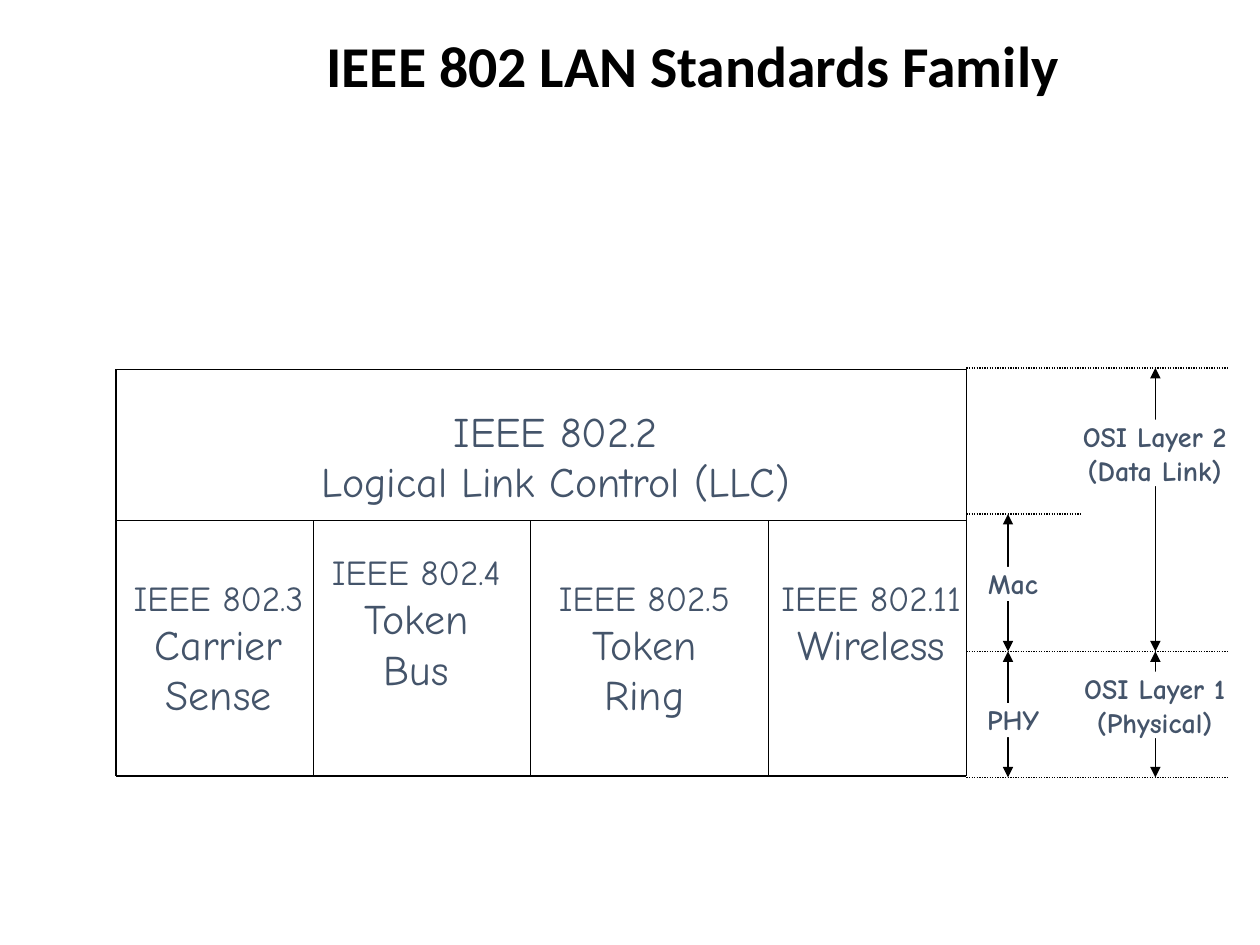
"""Build the IEEE 802 LAN standards family slide."""
import pptx
import pptx.dml.color
import pptx.enum.dml
import pptx.enum.shapes
import pptx.enum.text
import pptx.oxml
import pptx.util
from pptx.util import Inches

COLORS = {"ink": "000000", "paper": "FFFFFF", "text": "44546A"}
RGB = {name: pptx.dml.color.RGBColor.from_string(value) for name, value in COLORS.items()}
CENTER = pptx.enum.text.PP_ALIGN.CENTER
ANCHOR = pptx.enum.text.MSO_ANCHOR


def add_line(slide, x1, y1, x2, y2, dotted=False, arrows=False):
    line = slide.shapes.add_connector(
        pptx.enum.shapes.MSO_CONNECTOR.STRAIGHT, Inches(x1), Inches(y1), Inches(x2), Inches(y2)
    )
    line.line.color.rgb = RGB["ink"]
    line.line.width = pptx.util.Pt(0.75)
    if dotted:
        line.line.dash_style = pptx.enum.dml.MSO_LINE.ROUND_DOT
    if arrows:
        for end in ("a:headEnd", "a:tailEnd"):
            element = pptx.oxml.xmlchemy.OxmlElement(end)
            element.set("type", "triangle")
            line.line._get_or_add_ln().append(element)
    line._element.spPr.append(pptx.oxml.xmlchemy.OxmlElement("a:effectLst"))


def add_label(slide, left, top, width, height, lines, sizes, bold=False, margins=(0, 0, 0, 0)):
    shape = slide.shapes.add_shape(
        pptx.enum.shapes.MSO_SHAPE.RECTANGLE, Inches(left), Inches(top), Inches(width), Inches(height)
    )
    shape.shadow.inherit = False
    shape.fill.solid()
    shape.fill.fore_color.rgb = RGB["paper"]
    shape.line.fill.background()
    frame = shape.text_frame
    frame.word_wrap = bold
    frame.vertical_anchor = ANCHOR.TOP if bold else ANCHOR.MIDDLE
    frame.margin_left, frame.margin_top, frame.margin_right, frame.margin_bottom = map(Inches, margins)
    frame.text = "\n".join(lines)
    for paragraph, size in zip(frame.paragraphs, sizes):
        paragraph.alignment = CENTER
        paragraph.font.name = "Comic Neue"
        paragraph.font.size = pptx.util.Pt(size)
        paragraph.font.bold = bold
        paragraph.font.color.rgb = RGB["text"]


presentation = pptx.Presentation()
presentation.slide_width = Inches(10)
presentation.slide_height = Inches(7.5)
slide = presentation.slides.add_slide(presentation.slide_layouts[5])

title = slide.shapes.title
title.left, title.top, title.width, title.height = map(Inches, (1, 0.25, 9, 1.58))
title.text_frame.text = "IEEE 802 LAN Standards Family"
title.text_frame.vertical_anchor = ANCHOR.TOP
paragraph = title.text_frame.paragraphs[0]
paragraph.alignment = CENTER
paragraph.line_spacing = 0.9
paragraph.font.name = "Calibri"
paragraph.font.size = pptx.util.Pt(33)
paragraph.font.bold = True
paragraph.font.color.rgb = RGB["ink"]

left, right = 0.92, 7.67
top, middle, bottom = 2.93, 4.13, 6.16
for y in (top, middle, bottom):
    add_line(slide, left, y, right, y)
for x in (left, right):
    add_line(slide, x, top, x, bottom)
for x in (2.49, 4.21, 6.1):
    add_line(slide, x, middle, x, bottom)

standards = [
    (1.07, ["IEEE 802.3", "Carrier", "Sense"], 0.05),
    (2.64, ["IEEE 802.4", "Token", "Bus"], 0.45),
    (4.45, ["IEEE 802.5", "Token", "Ring"], 0.05),
    (6.25, ["IEEE 802.11", "Wireless"], 0.45),
]
for x, lines, bottom_margin in standards:
    add_label(slide, x, 4.31, 1.33, 1.66, lines, (20, 24, 24), margins=(0.1, 0.05, 0.1, bottom_margin))
add_label(
    slide, 2.25, 3.2, 4.32, 0.83, ["IEEE 802.2", "Logical Link Control (LLC)"], (24, 24),
    margins=(0.1, 0.05, 0.1, 0.05),
)

link_top, mac_top, phy_top, phy_bottom = 2.92, 4.08, 5.17, 6.17
for y, end in ((link_top, 9.75), (phy_bottom, 9.75), (phy_top, 9.75), (mac_top, 8.58)):
    add_line(slide, right, y, end, y, dotted=True)
for x, start, end in (
    (8, phy_top, phy_bottom),
    (9.17, link_top, phy_top),
    (9.17, phy_top, phy_bottom),
    (8, mac_top, phy_top),
):
    add_line(slide, x, start, x, end, arrows=True)

for x, y, width, height, lines in (
    (7.75, 5.58, 0.58, 0.27, ["PHY"]),
    (8.33, 5.33, 1.67, 0.53, ["OSI Layer 1", "(Physical)"]),
    (7.75, 4.5, 0.58, 0.27, ["Mac"]),
    (8.33, 3.33, 1.67, 0.53, ["OSI Layer 2", "(Data Link)"]),
):
    add_label(slide, x, y, width, height, lines, (16, 16), bold=True)

presentation.save("out.pptx")
